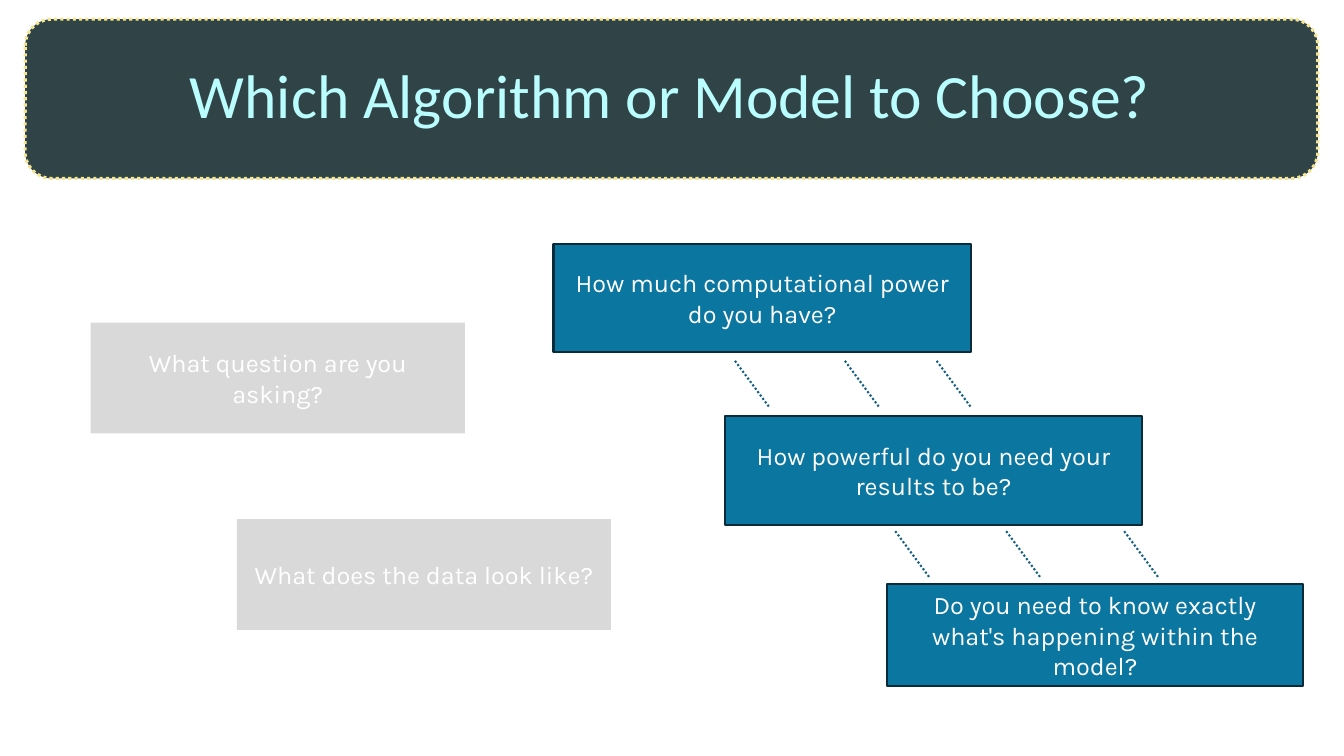
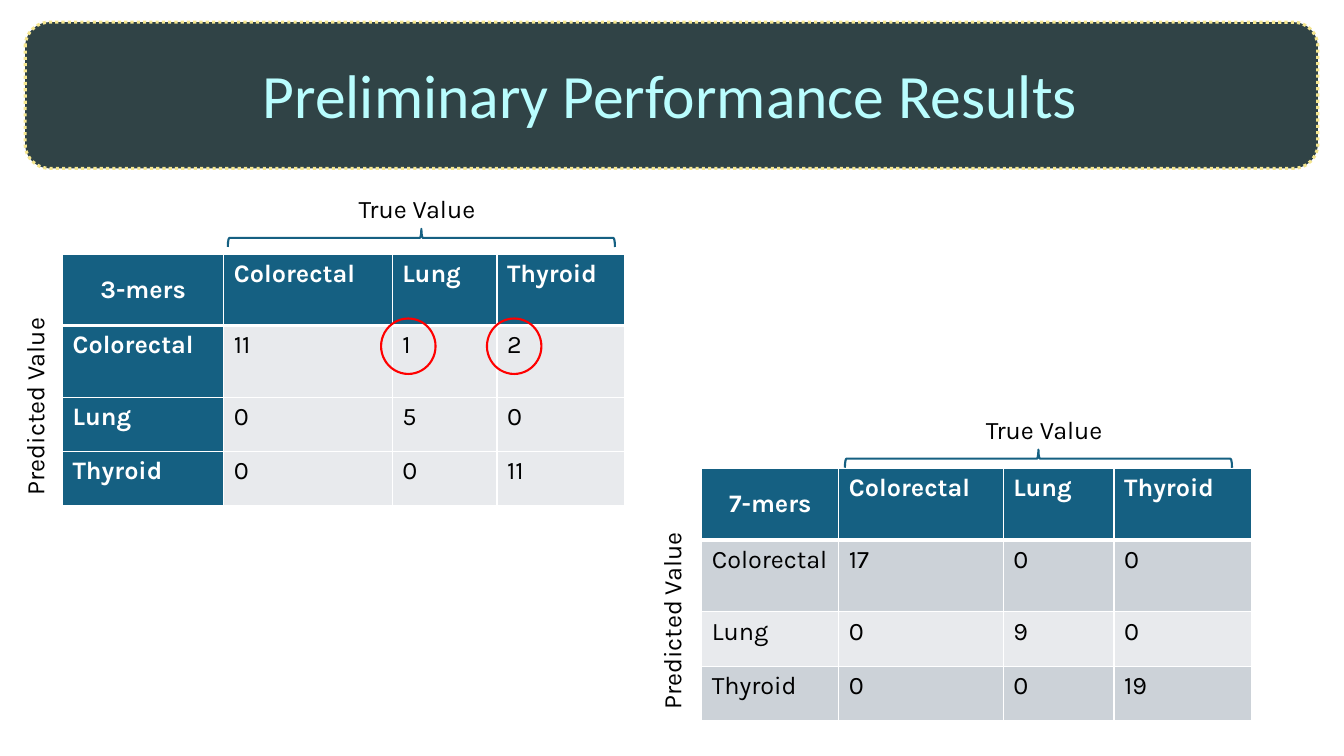
from lxml import etree
from pptx import Presentation
from pptx.dml.color import RGBColor
from pptx.enum.dml import MSO_LINE_DASH_STYLE as Dash
from pptx.enum.shapes import MSO_CONNECTOR, MSO_SHAPE
from pptx.enum.text import MSO_ANCHOR, PP_ALIGN
from pptx.oxml.ns import qn
from pptx.util import Inches, Pt

COLORS = {
    "band": "304346", "band_edge": "F5E68F", "title": "B9FDFE",
    "question": "0B76A0", "question_edge": "092A39", "faded": "000000",
    "accent": "156082", "white": "FFFFFF", "text": "000000",
    "cell_light": "E8EAED", "cell_dark": "CCD2D8", "ring": "FF0000",
}
RGB = {name: RGBColor.from_string(value) for name, value in COLORS.items()}
TITLE_STYLE = {"size": Pt(44), "name": "Calibri"}
BODY_STYLE = {"size": Pt(18), "name": "Karla", "bold": False}
HEADER_STYLE = {**BODY_STYLE, "bold": True}


def write(frame, text, style, color, align=PP_ALIGN.LEFT, anchor=MSO_ANCHOR.TOP):
    frame.word_wrap = True
    frame.vertical_anchor = anchor
    para = frame.paragraphs[0]
    para.alignment = align
    span = para.add_run()
    span.text = text
    for key, value in style.items():
        setattr(span.font, key, value)
    span.font.color.rgb = RGB[color]
    return para


def add_box(page, kind, at, fill=None, edge=None, width=1.5):
    box = page.shapes.add_shape(kind, *map(Inches, at))
    box.shadow.inherit = False
    if fill:
        box.fill.solid()
        box.fill.fore_color.rgb = RGB[fill]
    else:
        box.fill.background()
    if edge:
        box.line.color.rgb = RGB[edge]
        box.line.width = Pt(width)
    else:
        box.line.fill.background()
    return box


deck = Presentation()
deck.slide_width, deck.slide_height = Inches(13.33), Inches(7.5)

pages = []
for title, band_top, band_height in [
    ("Which Algorithm or Model to Choose?", 0.19, 1.58),
    ("Preliminary Performance Results", 0.22, 1.45),
]:
    page = deck.slides.add_slide(deck.slide_layouts[6])
    band = add_box(page, MSO_SHAPE.ROUNDED_RECTANGLE,
                   (0.25, band_top, 12.82, band_height), "band", "band_edge", 2.25)
    band.line.dash_style = Dash.ROUND_DOT
    title_box = page.shapes.add_textbox(*map(Inches, (0.9, 0.25, 11.5, 1.45)))
    para = write(title_box.text_frame, title, TITLE_STYLE, "title",
                 PP_ALIGN.CENTER, MSO_ANCHOR.MIDDLE)
    para.line_spacing = 0.9
    pages.append(page)
choice_page, results_page = pages

for text, at, fill, edge in [
    ("What does the data look like?", (2.35, 5.15, 3.71, 1.1), "faded", None),
    ("How much computational power do you have?",
     (5.49, 2.42, 4.14, 1.07), "question", "question_edge"),
    ("How powerful do you need your results to be?",
     (7.19, 4.13, 4.14, 1.08), "question", "question_edge"),
    ("Do you need to know exactly what's happening within the model?",
     (8.8, 5.79, 4.12, 1.02), "question", "question_edge"),
    ("What question are you asking?", (0.9, 3.2, 3.71, 1.1), "faded", None),
]:
    box = add_box(choice_page, MSO_SHAPE.RECTANGLE, at, fill, edge)
    write(box.text_frame, text, BODY_STYLE, "white", PP_ALIGN.CENTER, MSO_ANCHOR.MIDDLE)
    if fill == "faded":
        color = box.fill._xPr.find(qn("a:solidFill"))[0]
        etree.SubElement(color, qn("a:alpha"), val="15000")

for top, lefts in [(3.58, (7.29, 8.38, 9.29)), (5.27, (8.88, 9.98, 11.15))]:
    for left in lefts:
        link = choice_page.shapes.add_connector(
            MSO_CONNECTOR.STRAIGHT,
            *map(Inches, (left, top, left + 0.34, top + 0.46)))
        link.line.color.rgb = RGB["accent"]
        link.line.width = Pt(1.5)
        link.line.dash_style = Dash.ROUND_DOT
        etree.SubElement(link._element.spPr, qn("a:effectLst"))

CLASSES = ["Colorectal", "Lung", "Thyroid"]
ROW_HEIGHTS = [0.71, 0.71, 0.54, 0.54]
for name, left, top, widths, counts, row_fills, label_column in [
    ("3-mers", 0.62, 2.52, [1.6, 1.67, 1.04, 1.27],
     [[11, 1, 2], [0, 5, 0], [0, 0, 11]], ["cell_light"] * 3, True),
    ("7-mers", 6.96, 4.65, [1.36, 1.63, 1.1, 1.36],
     [[17, 0, 0], [0, 9, 0], [0, 0, 19]],
     ["cell_dark", "cell_light", "cell_dark"], False),
]:
    rows = [[name] + CLASSES] + [[label] + row for label, row in zip(CLASSES, counts)]
    table = results_page.shapes.add_table(
        len(rows), len(widths),
        *map(Inches, (left, top, sum(widths), sum(ROW_HEIGHTS)))).table
    for column, width in zip(table.columns, widths):
        column.width = Inches(width)
    for r, values in enumerate(rows):
        table.rows[r].height = Inches(ROW_HEIGHTS[r])
        for c, value in enumerate(values):
            cell = table.cell(r, c)
            header = r == 0 or (c == 0 and label_column)
            corner = r == c == 0
            write(cell.text_frame, str(value),
                  HEADER_STYLE if header else BODY_STYLE,
                  "white" if header else "text",
                  PP_ALIGN.CENTER if corner else PP_ALIGN.LEFT)
            cell.vertical_anchor = MSO_ANCHOR.MIDDLE if corner else MSO_ANCHOR.TOP
            cell.fill.solid()
            cell.fill.fore_color.rgb = RGB["accent" if header else row_fills[r - 1]]
            props = cell._tc.get_or_add_tcPr()
            for i, side in enumerate(["lnL", "lnR", "lnT", "lnB"]):
                thick = (r, side) in [(0, "lnB"), (1, "lnT")]
                border = etree.Element(qn(f"a:{side}"), w=str(Pt(3 if thick else 1)))
                paint = etree.SubElement(border, qn("a:solidFill"))
                etree.SubElement(paint, qn("a:srgbClr"), val=COLORS["white"])
                props.insert(i, border)

for text, left, top, rotation in [
    ("True Value", 3.46, 1.87, 0),
    ("Predicted Value", -1.16, 3.31, 270),
    ("Predicted Value", 5.16, 5.44, 270),
    ("True Value", 9.68, 4.06, 0),
]:
    label = results_page.shapes.add_textbox(*map(Inches, (left, top, 3, 0.4)))
    label.rotation = rotation
    write(label.text_frame, text, BODY_STYLE, "text")

for left, top in [(4.09, 0.44), (10.21, 2.63)]:
    brace = add_box(results_page, MSO_SHAPE.RIGHT_BRACE,
                    (left, top, 0.18, 3.84), edge="accent")
    brace.rotation = 270

for left in (3.78, 4.83):
    add_box(results_page, MSO_SHAPE.OVAL, (left, 3.16, 0.54, 0.55), edge="ring")

deck.save("out.pptx")
